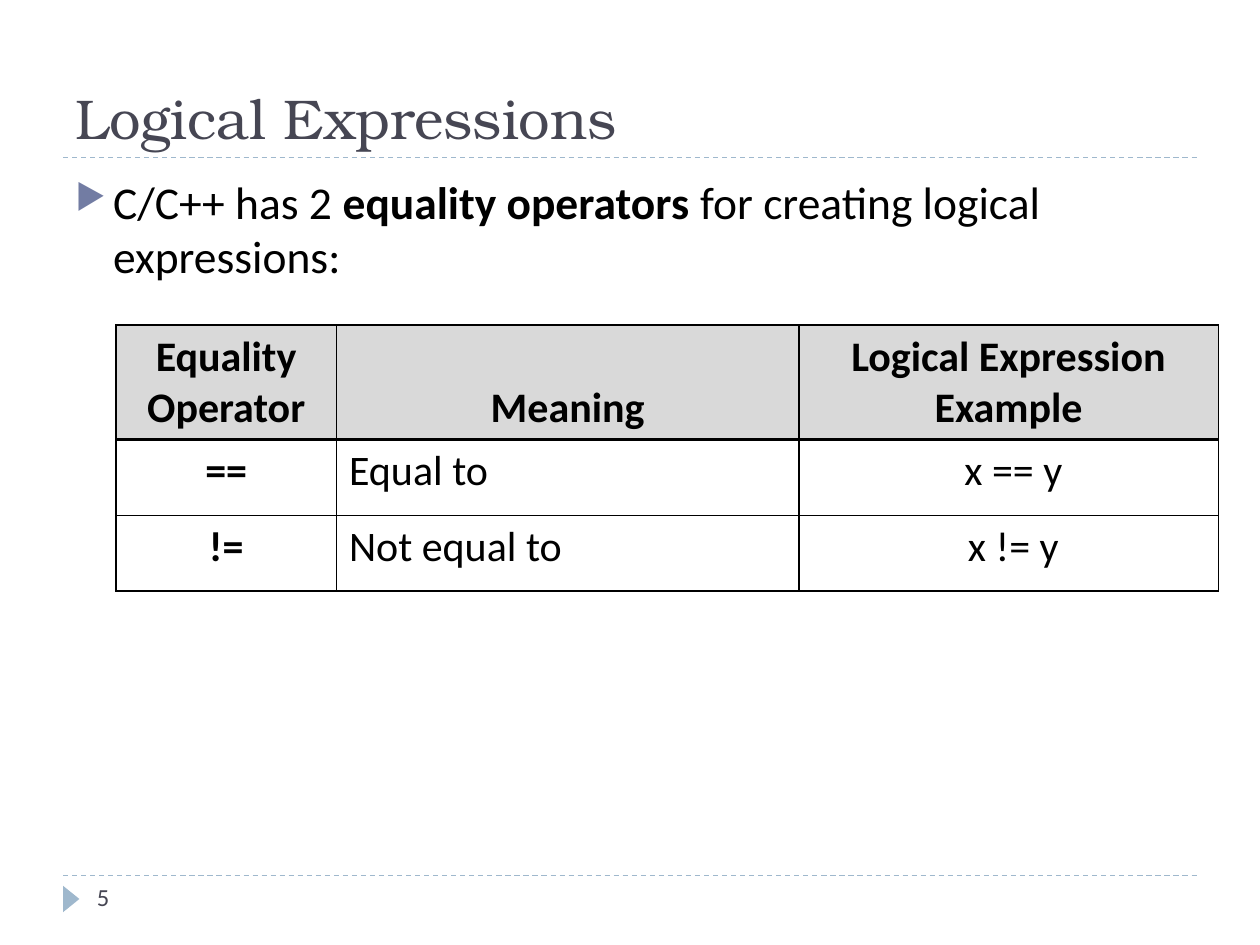
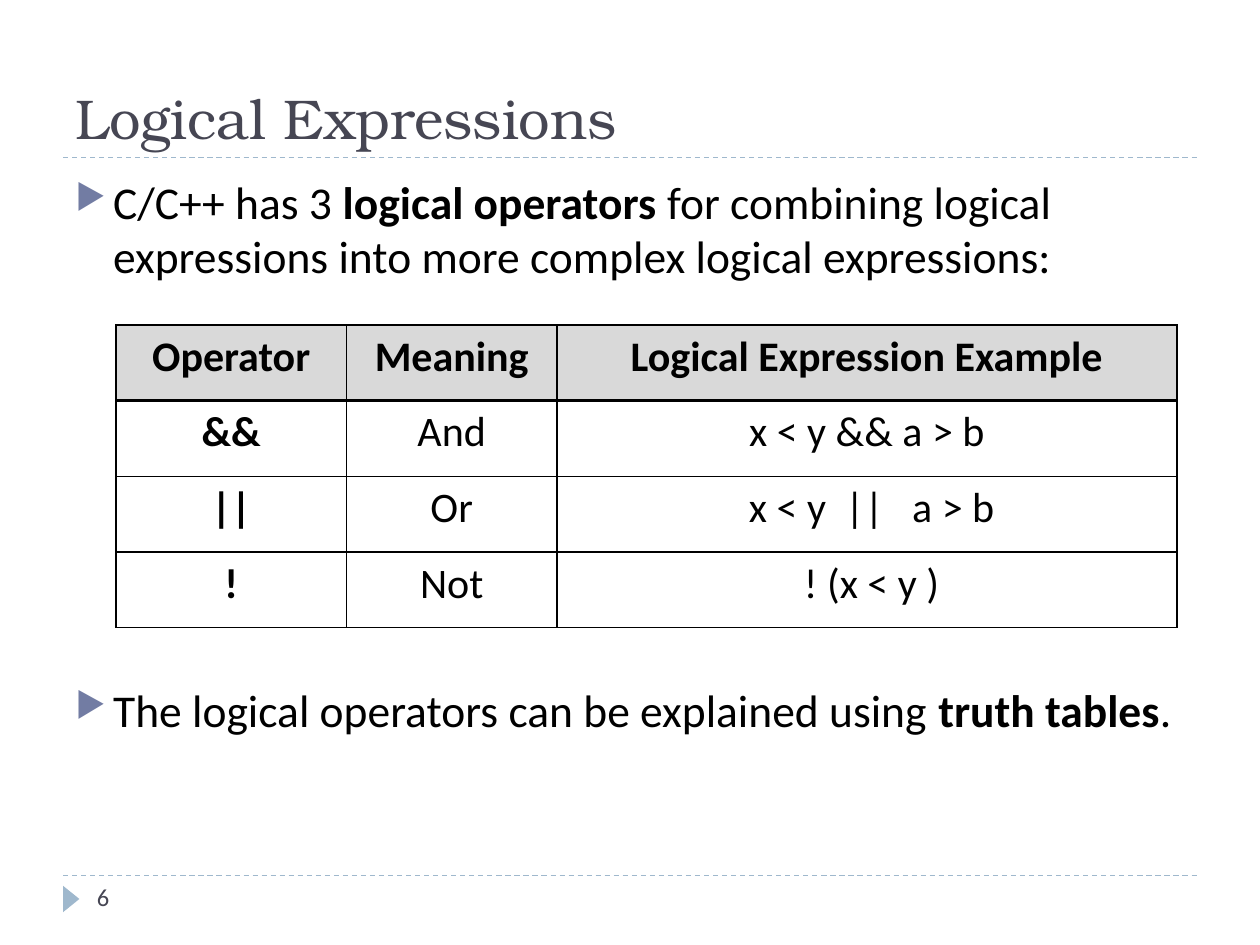
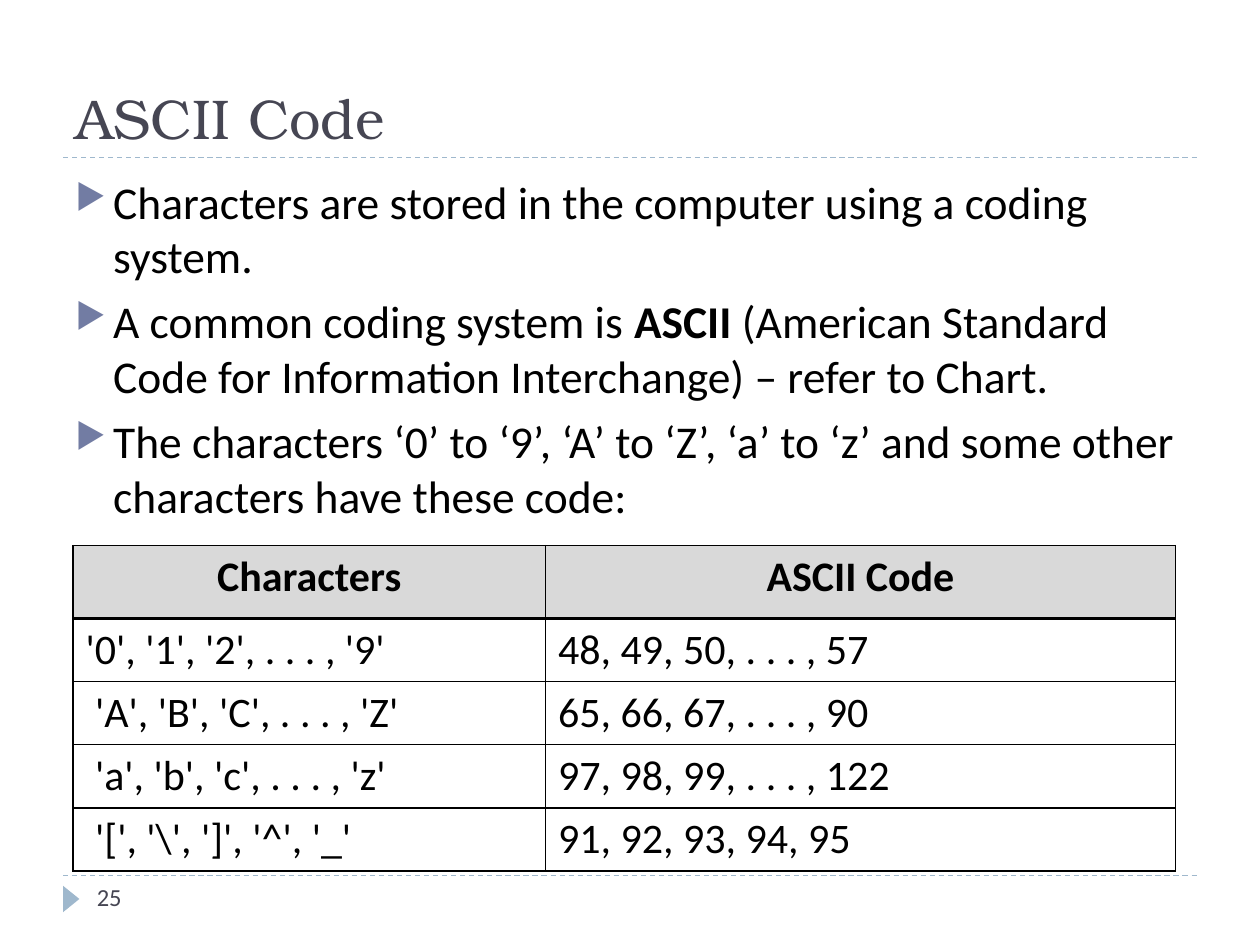
from lxml.etree import SubElement
from pptx import Presentation
from pptx.dml.color import RGBColor
from pptx.enum.dml import MSO_LINE
from pptx.enum.shapes import MSO_CONNECTOR, MSO_SHAPE
from pptx.enum.text import MSO_ANCHOR, MSO_AUTO_SIZE, PP_ALIGN
from pptx.oxml.ns import qn
from pptx.util import Inches, Pt

COLORS = {
    "title": "464653",
    "accent": "9FB8CD",
    "bullet": "727CA3",
    "text": "000000",
    "header": "D9D9D9",
    "cell": "FFFFFF",
}
ALIGN = {"l": PP_ALIGN.LEFT, "c": PP_ALIGN.CENTER}

SLIDES = [
    {
        "number": "5",
        "title": "Logical Expressions",
        "bullets": [("C/C++ has 2 *equality operators *for creating logical expressions:", 0)],
        "at": (0.92, 2.58),
        "cols": [1.75, 3.67, 3.33],
        "heights": [0.91, 0.6, 0.6],
        "align": "clc",
        "bold_first": True,
        "rows": [
            ["Equality\nOperator", "Meaning", "Logical Expression Example"],
            ["==", "Equal to", " x == y"],
            ["!=", "Not equal to", " x != y"],
        ],
    },
    {
        "number": "6",
        "title": "Logical Expressions",
        "bullets": [
            ("C/C++ has 3 *logical operators *for combining logical "
             "expressions into more complex logical expressions:", 0),
            ("The logical operators can be explained using *truth tables*.", 228),
        ],
        "at": (0.92, 2.58),
        "cols": [1.83, 1.67, 4.92],
        "heights": [0.6] * 4,
        "align": "ccc",
        "bold_first": True,
        "rows": [
            ["Operator", "Meaning", "Logical Expression Example"],
            ["&&", "And", " x < y && a > b "],
            ["||", "Or", " x < y  ||   a > b"],
            ["!", "Not", " ! (x < y )"],
        ],
    },
    {
        "number": "25",
        "title": "ASCII Code",
        "bullets": [
            ("Characters are stored in the computer using a coding system.", 0),
            ("A common coding system is *ASCII* (American Standard Code "
             "for Information Interchange) – refer to Chart.", 6),
            ("The characters ‘0’ to ‘9’, ‘A’ to ‘Z’, ‘a’ to ‘z’ and some "
             "other characters have these code:", 6),
        ],
        "at": (0.58, 4.33),
        "cols": [3.75, 5],
        "heights": [0.58] + [0.5] * 4,
        "align": "ll",
        "bold_first": False,
        "rows": [
            ["Characters", "ASCII Code"],
            ["'0', '1', '2', . . . , '9'", "48, 49, 50, . . . , 57"],
            [" 'A', 'B', 'C', . . . , 'Z'", "65, 66, 67, . . . , 90"],
            [" 'a', 'b', 'c', . . . , 'z'", "97, 98, 99, . . . , 122"],
            [" '[', '\\', ']', '^', '_'", "91, 92, 93, 94, 95"],
        ],
    },
]


def write(p, text, size=24, font="Calibri", color="text", bold=False, align="l"):
    p.alignment = ALIGN[align]
    for i, part in enumerate(text.split("*")):
        if part:
            r = p.add_run()
            r.text = part
            r.font.size = Pt(size)
            r.font.name = font
            r.font.bold = bold or i % 2 == 1
            r.font.color.rgb = RGBColor.from_string(COLORS[color])


def set_border(cell, side, width):
    ln = SubElement(cell._tc.get_or_add_tcPr(), qn(f"a:ln{side}"), w=str(Pt(width)))
    fill = SubElement(ln, qn("a:solidFill"))
    SubElement(fill, qn("a:srgbClr"), val=COLORS["text"])


prs = Presentation()
prs.slide_width, prs.slide_height = Inches(10), Inches(7.5)

for data in SLIDES:
    s = prs.slides.add_slide(prs.slide_layouts[5])

    for y in (6.95, 1.25):
        line = s.shapes.add_connector(
            MSO_CONNECTOR.STRAIGHT, Inches(0.5), Inches(y), Inches(9.5), Inches(y))
        line.line.color.rgb = RGBColor.from_string(COLORS["accent"])
        line.line.width = Pt(0.75)
        line.line.dash_style = MSO_LINE.DASH
        SubElement(line._element.spPr, qn("a:effectLst"))

    marker = s.shapes.add_shape(
        MSO_SHAPE.ISOSCELES_TRIANGLE, Inches(0.46), Inches(7.07), Inches(0.21), Inches(0.13))
    marker.rotation = 90
    marker.shadow.inherit = False
    marker.fill.solid()
    marker.fill.fore_color.rgb = RGBColor.from_string(COLORS["accent"])
    marker.line.fill.background()

    title = s.shapes.title
    title.left, title.top = Inches(0.5), Inches(0.17)
    title.width, title.height = Inches(9), Inches(1.08)
    tf = title.text_frame
    tf.auto_size = MSO_AUTO_SIZE.NONE
    tf.vertical_anchor = MSO_ANCHOR.BOTTOM
    write(tf.paragraphs[0], data["title"], size=32, font="TeX Gyre Bonum", color="title")

    tf = s.shapes.add_textbox(Inches(0.5), Inches(1.33), Inches(9), Inches(5.4)).text_frame
    tf.word_wrap = True
    for i, (text, space) in enumerate(data["bullets"]):
        p = tf.add_paragraph() if i else tf.paragraphs[0]
        p.space_before = Pt(space)
        pPr = p._p.get_or_add_pPr()
        pPr.set("marL", str(Inches(0.3)))
        pPr.set("indent", str(Inches(-0.3)))
        SubElement(SubElement(pPr, qn("a:buClr")), qn("a:srgbClr"), val=COLORS["bullet"])
        SubElement(pPr, qn("a:buSzPct"), val="76000")
        SubElement(pPr, qn("a:buChar"), char="▶")
        write(p, text, size=26)

    left, top = data["at"]
    rows, cols, heights = data["rows"], data["cols"], data["heights"]
    table = s.shapes.add_table(
        len(rows), len(cols), Inches(left), Inches(top),
        Inches(sum(cols)), Inches(sum(heights))).table
    table.first_row = table.horz_banding = False
    for col, width in zip(table.columns, cols):
        col.width = Inches(width)
    for i, values in enumerate(rows):
        table.rows[i].height = Inches(heights[i])
        for j, value in enumerate(values):
            cell = table.cell(i, j)
            for side in "LRTB":
                thick = (i == 0 and side == "B") or (i == 1 and side == "T")
                set_border(cell, side, 2 if thick else 1)
            cell.fill.solid()
            cell.fill.fore_color.rgb = RGBColor.from_string(COLORS["cell" if i else "header"])
            if "\n" in rows[0][0] and i == 0:
                cell.vertical_anchor = MSO_ANCHOR.BOTTOM
            tf = cell.text_frame
            for k, text in enumerate(value.split("\n")):
                p = tf.add_paragraph() if k else tf.paragraphs[0]
                write(p, text, bold=i == 0 or (j == 0 and data["bold_first"]),
                      align=data["align"][j] if i else "c")

    tf = s.shapes.add_textbox(Inches(0.67), Inches(6.95), Inches(2.17), Inches(0.4)).text_frame
    tf.word_wrap = True
    write(tf.paragraphs[0], data["number"], size=14, color="title")

prs.save("out.pptx")
